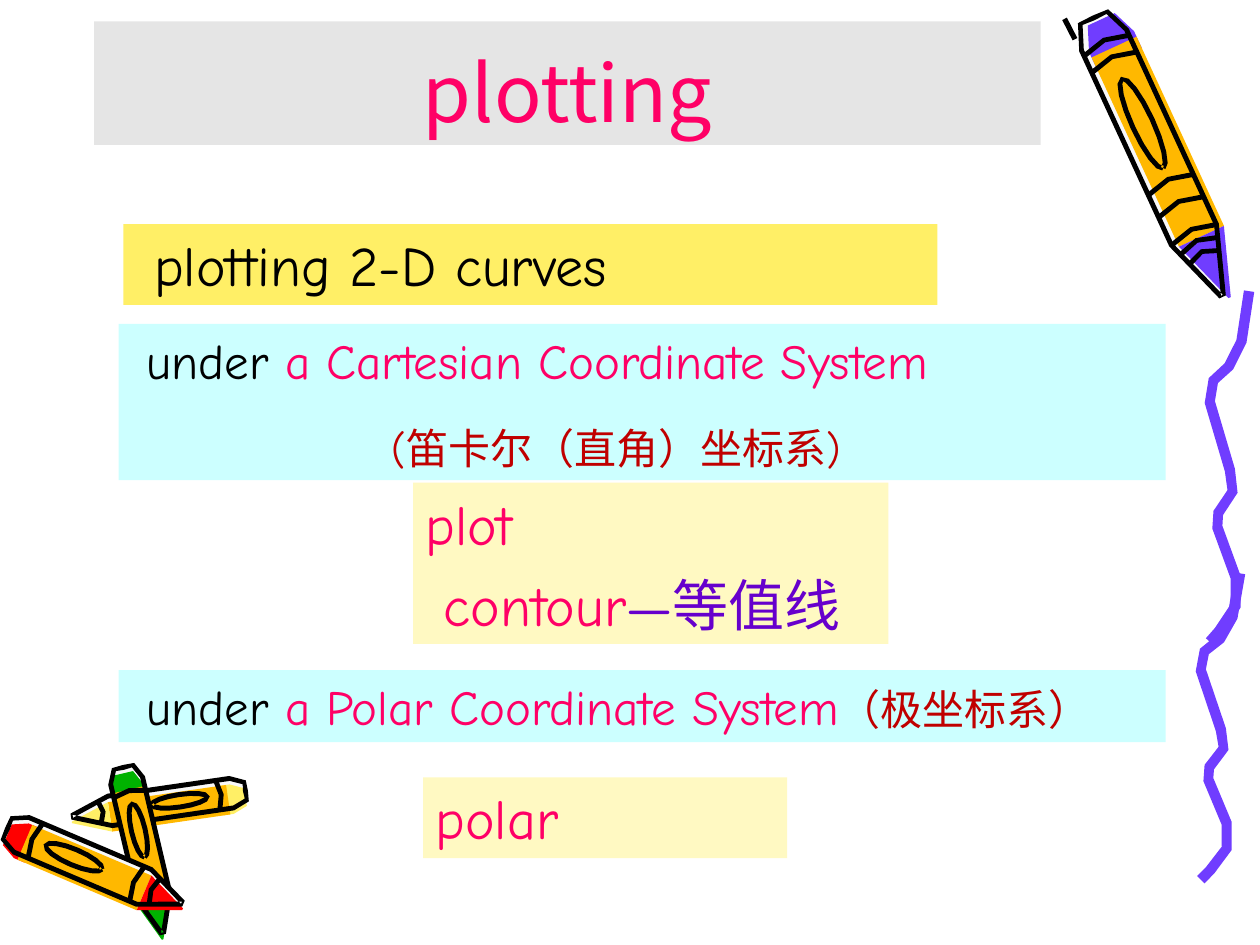
from math import cos, hypot, pi, sin
from lxml.etree import SubElement
from pptx import Presentation
from pptx.dml.color import RGBColor
from pptx.enum.shapes import MSO_CONNECTOR, MSO_SHAPE
from pptx.enum.text import MSO_ANCHOR, PP_ALIGN
from pptx.oxml.ns import qn
from pptx.util import Cm, Pt

LATIN, ASIAN = "Comic Neue", "Noto Sans CJK SC"
BLACK, WHITE, GREY = "000000", "F8F8F8", "BFBFBF"
PINK, RED, PURPLE = "FF0066", "C00000", "6600CC"
YELLOW, CYAN, CREAM = "FFEF66", "CCFFFF", "FFF9C2"
AMBER, VIOLET, GREEN, SCARLET = "FFB800", "703DFF", "00B200", "FF0000"

SHOULDER = 0.78
OUTLINE = [(0, 0), (0, 0.6), (0.08, 1), (SHOULDER, 1), (1, 0.05),
           (1, -0.05), (SHOULDER, -1), (0.08, -1), (0, -0.6), (0, 0)]
CAP = [(0, -0.6), (0, 0.6), (0.08, 1), (0.14, 1), (0.14, -1), (0.08, -1)]
BODY = [(0.1, -1), (0.1, 1), (SHOULDER, 1), (SHOULDER, -1)]
TIP = [(SHOULDER, -1), (SHOULDER, 1), (1, 0.05), (1, -0.05)]
OVAL = [(0.38 + 0.16 * cos(step * pi / 8), 0.42 * sin(step * pi / 8)) for step in range(17)]
INK = 0.1

PENCIL = dict(hue=VIOLET, tail=(22.05, 0.36), tip=(24.64, 5.97), half=0.5,
              slip=(0.15, 0.03), rings=(0.1, 0.16, 0.6, 0.68, 0.78, 0.82, 0.86))
SMALL = dict(slip=(0, 0.12), rings=(0.16, 0.74, 0.84))
CRAYONS = [
    dict(hue=YELLOW, tail=(4.95, 15.95), tip=(1.45, 16.46), half=0.3, **SMALL),
    dict(hue=GREEN, tail=(2.49, 15.47), tip=(3.28, 18.82), half=0.33, **SMALL),
    dict(hue=SCARLET, tail=(0.15, 16.71), tip=(3.68, 18.21), half=0.38, **SMALL),
]

BENDS = [(1, 0), (0.83, 0.14), (0.55, 0.21), (0.2, 0.25), (0.12, 0.31), (0.57, 0.5), (0.63, 0.56),
         (0.31, 0.62), (0.29, 0.66), (0.7, 0.8), (0.7, 0.88), (0.33, 0.95), (0.12, 0.98)]
STRANDS = [(24.1, 11.56, 0.9, 6.3), (24.28, 5.87, 0.9, 7.21)]

FRAME = dict(word_wrap=True, margin_left=Cm(0.25), margin_right=Cm(0.25),
             margin_top=Cm(0.13), margin_bottom=Cm(0.13))
INDENT = 0.32
WIDE = 0.37
BOXES = [
    ((2.49, 4.52, 16.41, 1.63), YELLOW, [(WIDE, 0, [("plotting 2-D curves", 32, BLACK)])]),
    ((2.39, 6.53, 21.11, 3.15), CYAN, [
        (INDENT, 0, [("under ", 28, BLACK), ("a Cartesian Coordinate System", 28, PINK)]),
        (5.26, 19, [("(笛卡尔（直角）坐标系)", 24, RED)])]),
    ((2.39, 13.51, 21.11, 1.45), CYAN, [
        (INDENT, 0, [("under ", 28, BLACK), ("a Polar Coordinate System", 28, PINK),
                     ("（极坐标系）", 24, RED)])]),
    ((8.33, 9.73, 9.58, 3.25), CREAM, [
        (0, 0, [("plot", 32, PINK)]),
        (WIDE, 8, [("contour", 32, PINK), ("—等值线", 32, PURPLE)])]),
    ((8.53, 15.67, 7.34, 1.63), CREAM, [(0, 0, [("polar", 32, PINK)])]),
]


def apply(item, values):
    """Set each named attribute on an item."""
    for key, value in values.items():
        setattr(item, key, value)


def paint(color, code):
    """Give a colour its hex code."""
    color.rgb = RGBColor.from_string(code)


def plain(shape, code):
    """Fill a shape and take off its line and shadow."""
    shape.shadow.inherit = False
    shape.fill.solid()
    paint(shape.fill.fore_color, code)
    shape.line.fill.background()


def patch(shapes, points, code):
    """Draw a filled outline through points given in centimetres."""
    start, *rest = [(Cm(x), Cm(y)) for x, y in points]
    pen = shapes.build_freeform(*start)
    pen.add_line_segments(rest, close=True)
    plain(pen.convert_to_shape(), code)


def ribbon(shapes, points, width, code):
    """Draw a band of even width along a line of points."""
    left, right = [], []
    for index, (x, y) in enumerate(points):
        before = points[max(index - 1, 0)]
        after = points[min(index + 1, len(points) - 1)]
        run, rise = after[0] - before[0], after[1] - before[1]
        ratio = width / 2 / hypot(run, rise)
        left.append((x - rise * ratio, y + run * ratio))
        right.append((x + rise * ratio, y - run * ratio))
    patch(shapes, left + right[::-1], code)


def ring(along):
    """Return a bowed line across a crayon that narrows past the shoulder."""
    reach = min(1, (1 - along) / (1 - SHOULDER))
    return [(along, -reach), (along - 0.02, 0), (along, reach)]


def crayon(shapes, hue, tail, tip, half, slip, rings):
    """Draw a crayon from tail to tip, its colours slipped off its ink."""
    run, rise = tip[0] - tail[0], tip[1] - tail[1]
    ratio = half / hypot(run, rise)

    def place(points, shift=(0, 0)):
        """Turn (along, across) points into page points."""
        return [(tail[0] + along * run - across * rise * ratio + shift[0],
                 tail[1] + along * rise + across * run * ratio + shift[1])
                for along, across in points]

    patch(shapes, place(OUTLINE), WHITE)
    for part, code in ((CAP, hue), (BODY, AMBER), (TIP, hue)):
        patch(shapes, place(part, slip), code)
    for line in (OUTLINE, OVAL, *map(ring, rings)):
        ribbon(shapes, place(line), INK, BLACK)


def wave(shapes):
    """Draw the wavy trail as one bend pattern fitted to each strand."""
    for left, top, width, height in STRANDS:
        points = [(left + x * width, top + y * height) for x, y in BENDS]
        ribbon(shapes, points, 0.21, VIOLET)


def stroke(shapes, ends, code, width):
    """Draw a straight line."""
    line = shapes.add_connector(MSO_CONNECTOR.STRAIGHT, *map(Cm, ends))
    SubElement(line._element.spPr, qn("a:effectLst"))
    paint(line.line.color, code)
    line.line.width = Pt(width)


def write(para, text, size, code, face=LATIN):
    """Add a run of text to a paragraph."""
    run = para.add_run()
    run.text = text
    apply(run.font, dict(name=face, size=Pt(size)))
    paint(run.font.color, code)
    SubElement(run._r.get_or_add_rPr(), qn("a:ea"), typeface=ASIAN)


def panel(shapes, place, code, anchor=MSO_ANCHOR.TOP):
    """Add a filled box and return it."""
    box = shapes.add_shape(MSO_SHAPE.RECTANGLE, *map(Cm, place))
    plain(box, code)
    apply(box.text_frame, dict(FRAME, vertical_anchor=anchor))
    return box


def title(shapes):
    """Add the title on its clear grey band."""
    box = panel(shapes, (1.9, 0.43, 19.08, 2.49), GREY, MSO_ANCHOR.BOTTOM)
    tint = box._element.spPr.find(".//" + qn("a:srgbClr"))
    SubElement(tint, qn("a:alpha"), val="40000")
    para = box.text_frame.paragraphs[0]
    para.alignment = PP_ALIGN.CENTER
    write(para, "plotting", 45, PINK, ASIAN)


def note(shapes, place, code, rows):
    """Add a box with indented rows of text."""
    frame = panel(shapes, place, code).text_frame
    for index, (indent, space, runs) in enumerate(rows):
        para = frame.add_paragraph() if index else frame.paragraphs[0]
        apply(para, dict(alignment=PP_ALIGN.LEFT, space_before=Pt(space)))
        para._p.get_or_add_pPr().set("marL", str(Cm(indent)))
        for run in runs:
            write(para, *run)


def main():
    """Build the slide and save it."""
    deck = Presentation()
    apply(deck, dict(slide_width=Cm(25.4), slide_height=Cm(19.05)))
    shapes = deck.slides.add_slide(deck.slide_layouts[6]).shapes
    pile = shapes.add_group_shape().shapes
    for kind in CRAYONS:
        crayon(pile, **kind)
    wave(shapes.add_group_shape().shapes)
    pencil = shapes.add_group_shape().shapes
    crayon(pencil, **PENCIL)
    stroke(pencil, (21.46, 0.38, 21.67, 0.79), BLACK, 3)
    title(shapes)
    for box in BOXES:
        note(shapes, *box)
    deck.save("out.pptx")


if __name__ == "__main__":
    main()
